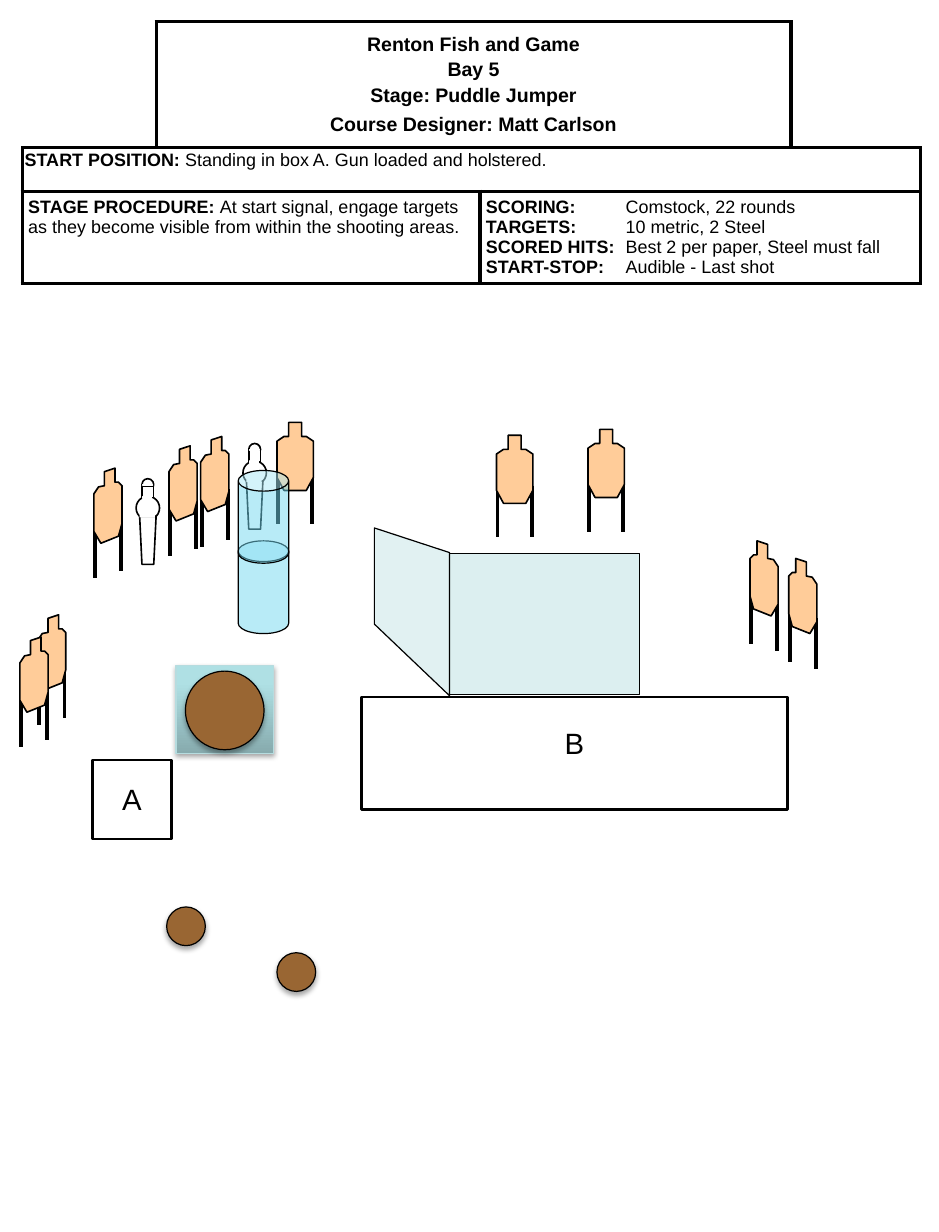
from typing import NamedTuple, Optional

from lxml.etree import SubElement
from pptx import Presentation
from pptx.dml.color import RGBColor
from pptx.enum.shapes import MSO_CONNECTOR, MSO_SHAPE
from pptx.enum.text import MSO_ANCHOR, PP_ALIGN
from pptx.oxml.ns import qn
from pptx.util import Inches, Pt

BLACK = RGBColor(0, 0, 0)
WHITE = RGBColor(255, 255, 255)
BROWN = RGBColor(0x99, 0x66, 0x33)
TAN = RGBColor(0xFF, 0xCC, 0x99)
GLASS = RGBColor(0xBB, 0xE0, 0xE3)
WATER = RGBColor(0x73, 0xD9, 0xF1)
DEEP = RGBColor(0x87, 0xAB, 0xAE)
SHALLOW = RGBColor(0xAF, 0xE0, 0xE4)
RIM = RGBColor(0xB6, 0xDC, 0xDF)
FONT = "Arial"


class Look(NamedTuple):
    fill: Optional[RGBColor] = None
    line: Optional[RGBColor] = BLACK
    width: float = 0.75
    alpha: int = 100


class Box(NamedTuple):
    left: float
    top: float
    width: float
    height: float


class Leg(NamedTuple):
    x: float
    top: float
    end: float


class Target(NamedTuple):
    points: list
    legs: list


class Para(NamedTuple):
    runs: list  # (text, bold)
    space: float = 0


class Entry(NamedTuple):
    row: int
    col: int
    last: int
    paras: list
    size: float = 11
    inset: float = 0.05
    pad: float = 0.05


# Target outlines, measured from their top left corner
FRONT = Target(
    [(.1, 0), (.21, 0), (.21, .12), (.25, .12), (.31, .16), (.31, .47),
     (.25, .58), (.06, .58), (0, .47), (0, .16), (.06, .12), (.1, .12)],
    [Leg(.01, .43, .87), Leg(.3, .43, .87)])
LEFT = Target(
    [(.09, .03), (.18, 0), (.18, .12), (.21, .12), (.24, .15), (.24, .47),
     (.21, .58), (.06, .64), (0, .54), (0, .22), (.04, .16), (.09, .15)],
    [Leg(.01, .51, .94), Leg(.23, .45, .88)])
RIGHT = Target([(.24 - x, y) for x, y in LEFT.points],
               [Leg(.24 - g.x, g.top, g.end) for g in LEFT.legs])

PAPER = [(LEFT, .8, 3.99), (LEFT, 1.44, 3.8), (FRONT, 2.36, 3.6),
         (LEFT, .32, 5.24), (LEFT, .17, 5.43), (RIGHT, 6.72, 4.76),
         (RIGHT, 6.39, 4.61), (FRONT, 4.23, 3.71), (FRONT, 5.01, 3.66),
         (LEFT, 1.71, 3.72)]
STEEL = [(1.16, 4.08), (2.07, 3.78)]

SCORES = [("SCORING:", "Comstock, 22 rounds"),
          ("TARGETS:", "10 metric, 2 Steel"),
          ("SCORED HITS:", "Best 2 per paper, Steel must fall"),
          ("START-STOP:", "Audible - Last shot")]
ENTRIES = [
    Entry(0, 1, 2, [Para([("Renton Fish and Game", True)]),
                    Para([("Bay 5", True)], 2.4),
                    Para([("Stage: Puddle Jumper", True)], 2.4),
                    Para([("Course Designer: Matt Carlson", True)], 4.2)], 12),
    Entry(1, 0, 3, [Para([("START POSITION:", True),
                          (" Standing in box A. Gun loaded and holstered.", False)])],
          inset=0.02, pad=0.04),
    Entry(2, 0, 1, [Para([("STAGE PROCEDURE: ", True),
                          ("At start signal, engage targets as they become visible "
                           "from within the shooting areas.", False)])]),
    Entry(2, 2, 3, [Para([(name, True), ("\t" + text, False)]) for name, text in SCORES]),
]


def paint(shape, look: Look) -> None:
    shape.shadow.inherit = False
    if look.fill is None:
        shape.fill.background()
    else:
        shape.fill.solid()
        shape.fill.fore_color.rgb = look.fill
        if look.alpha < 100:
            clr = shape._element.spPr.find(qn("a:solidFill"))[0]
            SubElement(clr, qn("a:alpha"), val=str(look.alpha * 1000))
    if look.line is None:
        shape.line.fill.background()
    else:
        shape.line.color.rgb = look.line
        shape.line.width = Pt(look.width)


def draw(shapes, kind: MSO_SHAPE, box: Box, look: Look):
    shape = shapes.add_shape(kind, *map(Inches, box))
    paint(shape, look)
    return shape


def trace(shapes, points: list, look: Look) -> None:
    spots = [(Inches(x), Inches(y)) for x, y in points]
    build = shapes.build_freeform(*spots[0])
    build.add_line_segments(spots[1:], close=True)
    paint(build.convert_to_shape(), look)


def shade(shape) -> None:
    effects = shape._element.spPr.find(qn("a:effectLst"))
    drop = SubElement(effects, qn("a:outerShdw"), blurRad="40000", dist="23000",
                      dir="5400000", rotWithShape="0")
    clr = SubElement(drop, qn("a:srgbClr"), val=str(BLACK))
    SubElement(clr, qn("a:alpha"), val="35000")


def write(para, text: str, size: float, bold: bool = False) -> None:
    run = para.add_run()
    run.text = text
    run.font.name, run.font.size, run.font.bold = FONT, Pt(size), bold
    run.font.color.rgb = BLACK


def edge(cell, sides: str) -> None:
    props = cell._tc.get_or_add_tcPr()
    for side in sides:
        line = SubElement(props, qn("a:ln" + side), w=str(Pt(2.25)))
        fill = SubElement(line, qn("a:solidFill"))
        SubElement(fill, qn("a:srgbClr"), val=str(BLACK))
    cell.fill.solid()
    cell.fill.fore_color.rgb = WHITE


def fill_cell(table, item: Entry) -> None:
    cell = table.cell(item.row, item.col)
    cell.merge(table.cell(item.row, item.last))
    cell.margin_left = cell.margin_right = Inches(item.inset)
    cell.margin_top = cell.margin_bottom = Inches(item.pad)
    head = item.row == 0
    cell.vertical_anchor = MSO_ANCHOR.MIDDLE if head else MSO_ANCHOR.TOP
    frame = cell.text_frame
    for i, para in enumerate(item.paras):
        p = frame.add_paragraph() if i else frame.paragraphs[0]
        if any("\t" in text for text, _ in para.runs):
            tabs = SubElement(p._p.get_or_add_pPr(), qn("a:tabLst"))
            SubElement(tabs, qn("a:tab"), pos=str(Inches(1.19)), algn="l")
        p.alignment = PP_ALIGN.CENTER if head else PP_ALIGN.LEFT
        if para.space:
            p.space_before = Pt(para.space)
        if item.row == 1:
            p.line_spacing = 0.9
        for text, bold in para.runs:
            write(p, text, item.size, bold)


def add_brief(shapes) -> None:
    frame = shapes.add_table(3, 4, *map(Inches, (.19, .18, 7.65, 2.24)))
    table = frame.table
    table.first_row = table.horz_banding = False
    for col, width in zip(table.columns, (1.14, 2.76, 2.65, 1.1)):
        col.width = Inches(width)
    for row, height in zip(table.rows, (1.08, .37, .79)):
        row.height = Inches(height)
    corners = {(0, 0): "RB", (0, 3): "LB"}
    for r in range(3):
        for c in range(4):
            edge(table.cell(r, c), corners.get((r, c), "LRTB"))
    for item in ENTRIES:
        fill_cell(table, item)


def add_area(shapes, name: str, box: Box, label: Box) -> None:
    group = shapes.add_group_shape().shapes
    draw(group, MSO_SHAPE.RECTANGLE, box, Look(width=1.5))
    frame = group.add_textbox(*map(Inches, label)).text_frame
    frame.word_wrap = True
    frame.paragraphs[0].alignment = PP_ALIGN.CENTER
    write(frame.paragraphs[0], name, 18)


def add_paper(shapes, kind: Target, left: float, top: float) -> None:
    group = shapes.add_group_shape().shapes
    for leg in kind.legs:
        x = Inches(left + leg.x)
        line = group.add_connector(MSO_CONNECTOR.STRAIGHT, x, Inches(top + leg.top),
                                   x, Inches(top + leg.end))
        line.line.color.rgb, line.line.width = BLACK, Pt(2.25)
        SubElement(line._element.spPr, qn("a:effectLst"))
    trace(group, [(left + x, top + y) for x, y in kind.points], Look(TAN, width=1))


def add_steel(shapes, left: float, top: float) -> None:
    group = shapes.add_group_shape().shapes
    ink, bare, blank = (Look(WHITE, line, 1) for line in (BLACK, None, WHITE))

    def part(kind: MSO_SHAPE, x: float, y: float, w: float, h: float, look: Look) -> None:
        draw(group, kind, Box(left + x, top + y, w, h), look)

    part(MSO_SHAPE.OVAL, .05, 0, .1, .1, ink)
    part(MSO_SHAPE.OVAL, 0, .15, .2, .2, ink)
    stem = [(.03, .32), (.17, .32), (.15, .73), (.05, .73)]
    trace(group, [(left + x, top + y) for x, y in stem], ink)
    part(MSO_SHAPE.RECTANGLE, .05, .06, .1, .1, ink)
    # White patches hide the seams
    part(MSO_SHAPE.RECTANGLE, .03, .31, .13, .02, bare)
    part(MSO_SHAPE.RECTANGLE, .06, .15, .07, .02, blank)
    part(MSO_SHAPE.RECTANGLE, .06, .05, .08, .01, blank)


def main() -> None:
    deck = Presentation()
    deck.slide_width, deck.slide_height = Inches(8), Inches(10.5)
    shapes = deck.slides.add_slide(deck.slide_layouts[6]).shapes

    add_brief(shapes)

    # Puddle and stepping stones
    puddle = shapes.add_group_shape().shapes
    pool = draw(puddle, MSO_SHAPE.RECTANGLE, Box(1.5, 5.67, .83, .75), Look(DEEP, RIM))
    pool.fill.gradient()
    pool.fill.gradient_angle = 90
    for stop, color, spot in zip(pool.fill.gradient_stops, (DEEP, SHALLOW), (0, .8)):
        stop.color.rgb, stop.position = color, spot
    shade(pool)
    for host, left, top, size in ((puddle, 1.58, 5.72, .67), (shapes, 1.42, 7.73, .33),
                                  (shapes, 2.36, 8.12, .33)):
        shade(draw(host, MSO_SHAPE.OVAL, Box(left, top, size, size), Look(BROWN)))

    # Shooting areas
    add_area(shapes, "A", Box(.79, 6.48, .67, .67), Box(.79, 6.61, .67, .4))
    add_area(shapes, "B", Box(3.08, 5.94, 3.63, .96), Box(3.08, 6.13, 3.63, .58))

    # Walls
    trace(shapes, [(5.45, 5.92), (3.83, 5.92), (3.83, 4.72), (5.45, 4.72)],
          Look(GLASS, alpha=50))
    trace(shapes, [(3.19, 5.32), (3.83, 5.93), (3.83, 4.71), (3.19, 4.5)],
          Look(GLASS, alpha=44))

    # Targets
    for spot in STEEL:
        add_steel(shapes, *spot)
    for item in PAPER:
        add_paper(shapes, *item)

    # Stacked barrels
    stack = shapes.add_group_shape().shapes
    for top in (4.61, 4.01):
        can = draw(stack, MSO_SHAPE.CAN, Box(2.03, top, .43, .79), Look(WATER, alpha=50))
        can.adjustments[0] = .41

    deck.save("out.pptx")


if __name__ == "__main__":
    main()
